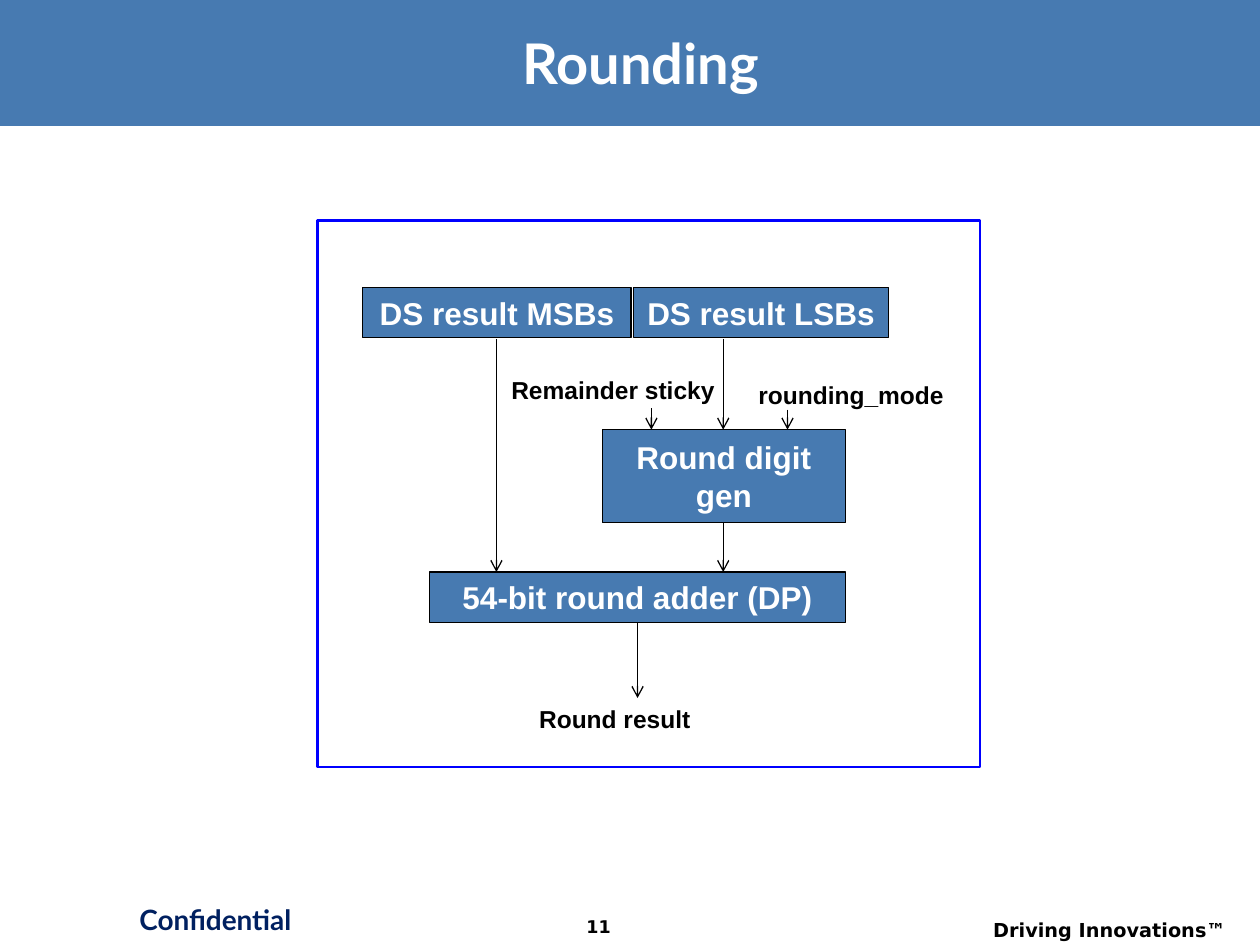
from lxml import etree
from pptx import Presentation
from pptx.dml.color import RGBColor
from pptx.enum.shapes import MSO_CONNECTOR, MSO_SHAPE
from pptx.enum.text import MSO_ANCHOR, PP_ALIGN
from pptx.oxml.ns import qn
from pptx.util import Inches, Pt

RECT = MSO_SHAPE.RECTANGLE
LINE = MSO_CONNECTOR.STRAIGHT
TOP, MIDDLE = MSO_ANCHOR.TOP, MSO_ANCHOR.MIDDLE
LEFT, CENTER, RIGHT = PP_ALIGN.LEFT, PP_ALIGN.CENTER, PP_ALIGN.RIGHT

COLORS = {
    "band": "477AB1",
    "frame": "0000FF",
    "navy": "002060",
    "black": "000000",
    "white": "FFFFFF",
}


def color(name):
    return RGBColor.from_string(COLORS[name])


def write(shape, text, size, font="Arial", ink="black", align=LEFT, anchor=TOP):
    """Put one bold line of text in a shape and return its run."""
    frame = shape.text_frame
    frame.word_wrap = True
    frame.vertical_anchor = anchor
    para = frame.paragraphs[0]
    para.text = text
    para.alignment = align
    run = para.runs[0]
    run.font.size = Pt(size)
    run.font.name = font
    run.font.bold = True
    run.font.color.rgb = color(ink)
    return run


def add_label(slide, box, text, size, **style):
    shape = slide.shapes.add_textbox(*map(Inches, box))
    return write(shape, text, size, **style)


def add_rect(slide, box, fill=None, line=None, width=0.75):
    shape = slide.shapes.add_shape(RECT, *map(Inches, box))
    shape.shadow.inherit = False
    if fill:
        shape.fill.solid()
        shape.fill.fore_color.rgb = color(fill)
    else:
        shape.fill.background()
    if line:
        shape.line.color.rgb = color(line)
        shape.line.width = Pt(width)
    else:
        shape.line.fill.background()
    return shape


def add_arrow(slide, x, top, end):
    """Draw an arrow straight down from top to end."""
    line = slide.shapes.add_connector(
        LINE, Inches(x), Inches(top), Inches(x), Inches(end))
    line.line.color.rgb = color("black")
    line.line.width = Pt(0.75)
    etree.SubElement(line.line._get_or_add_ln(), qn("a:tailEnd"), type="arrow")
    etree.SubElement(line._element.spPr, qn("a:effectLst"))


def add_shadow(run):
    """Give the text a hard black shadow to the lower right."""
    effects = etree.Element(qn("a:effectLst"))
    shadow = etree.SubElement(effects, qn("a:outerShdw"),
                              dist="38100", dir="2700000", algn="tl")
    etree.SubElement(shadow, qn("a:srgbClr"), val=COLORS["black"])
    run.font._element.find(qn("a:solidFill")).addnext(effects)


def add_header(slide, x, y, w, h):
    add_rect(slide, (x, y, w, h), fill="band")
    title = add_label(slide, (x + 0.35, y + 0.16, w - 0.53, 0.66), "Rounding",
                      32, font="Lato", ink="white", align=CENTER, anchor=MIDDLE)
    add_shadow(title)


def add_footer(slide, x, y):
    add_label(slide, (x + 0.89, y, 1.64, 0.42), "Confidential", 16,
              font="Lato", ink="navy", align=CENTER)
    add_label(slide, (x + 4.29, y + 0.11, 0.92, 0.28), "11", 10,
              font="DejaVu Sans", align=CENTER)
    add_label(slide, (x + 7.36, y + 0.13, 2.47, 0.26), "Driving Innovations™",
              11, font="DejaVu Sans", align=RIGHT)


def add_diagram(slide, x, y, w, h):
    """Draw the rounding data flow inside a frame."""
    add_rect(slide, (x, y, w, h), line="frame", width=1.25)

    blocks = [
        ("DS result MSBs", 0.36, 0.53, 2.13, 0.4),
        ("DS result LSBs", 2.51, 0.53, 2.02, 0.4),
        ("Round digit gen", 2.26, 1.66, 1.93, 0.74),
        ("54-bit round adder (DP)", 0.89, 2.79, 3.3, 0.4),
    ]
    for text, dx, dy, bw, bh in blocks:
        block = add_rect(slide, (x + dx, y + dy, bw, bh), "band", "black")
        write(block, text, 18, ink="white", align=CENTER, anchor=MIDDLE)

    labels = [
        ("Remainder sticky", 1.44, 1.18, 1.83),
        ("rounding_mode", 3.4, 1.22, 1.72),
        ("Round result", 1.66, 3.79, 1.75),
    ]
    for text, dx, dy, lw in labels:
        add_label(slide, (x + dx, y + dy, lw, 0.34), text, 14)

    arrows = [
        (1.42, 0.94, 2.79),
        (3.22, 0.94, 1.66),
        (2.65, 1.49, 1.66),
        (3.73, 1.5, 1.66),
        (3.22, 2.4, 2.79),
        (2.54, 3.19, 3.79),
    ]
    for dx, top, end in arrows:
        add_arrow(slide, x + dx, y + top, y + end)


def main():
    deck = Presentation()
    deck.slide_width, deck.slide_height = Inches(10), Inches(7.5)
    slide = deck.slides.add_slide(deck.slide_layouts[6])
    add_header(slide, 0, 0, 10, 1)
    add_diagram(slide, 2.52, 1.75, 5.26, 4.34)
    add_footer(slide, 0, 7.11)
    deck.save("out.pptx")


if __name__ == "__main__":
    main()
